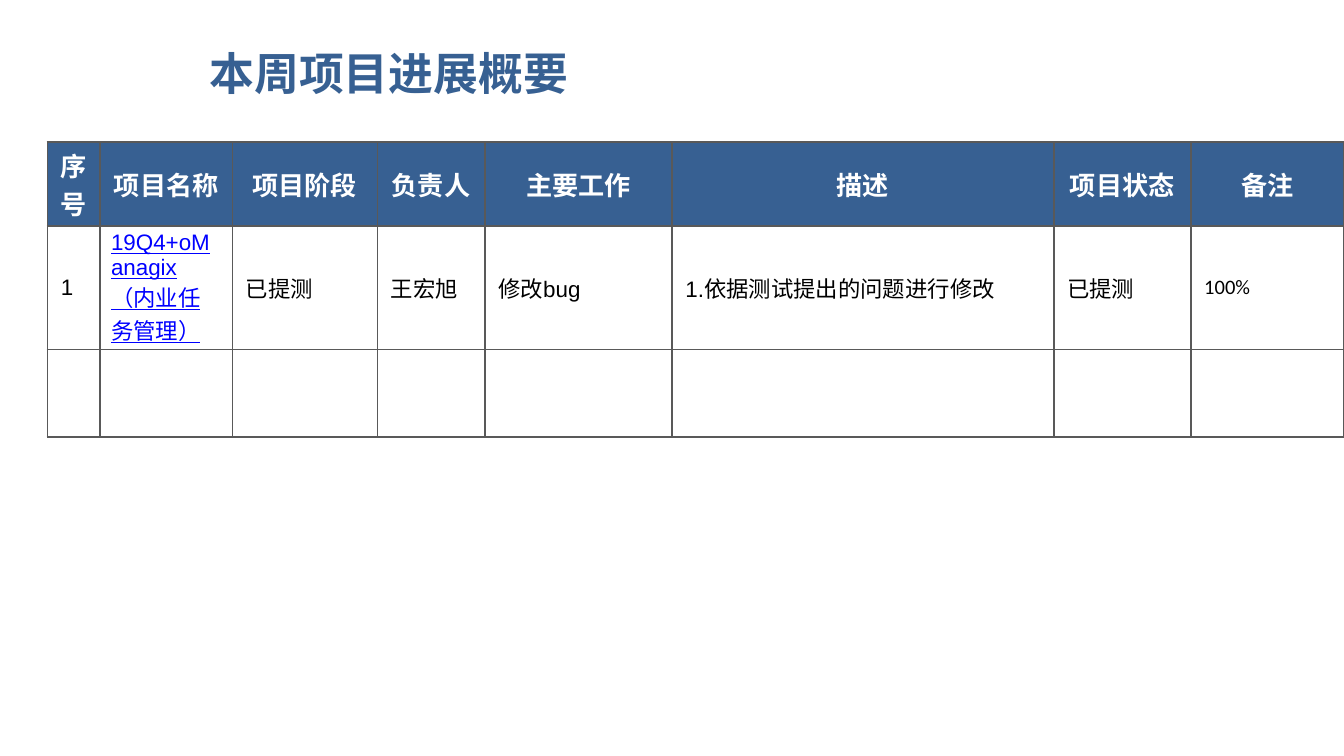
from dataclasses import dataclass

import pptx
from lxml import etree
from pptx import util as u
from pptx.dml.color import RGBColor
from pptx.enum import text as t
from pptx.oxml import ns

BLUE, GREY, WHITE, BLACK, LINK = "376092", "595959", "FFFFFF", "000000", "0000FF"
EAST_ASIAN = "Noto Sans CJK SC"
HEADER_INSETS, BODY_INSETS, LINK_INSETS = (5, 2.2), (7.2, 3.6), (5.8, 2.2)
ROW_HEIGHTS = (39, 46.8, 46.8)


@dataclass
class Column:
    heading: str
    width: float
    value: str
    size: float = 12
    font: str = "Arial"
    color: str = BLACK
    underline: bool = False
    insets: tuple[float, float] = BODY_INSETS


COLUMNS = [
    Column("序号", 28.3, "1"),
    Column("项目名称", 70.8, "19Q4+oManagix（内业任务管理）",
           color=LINK, underline=True, insets=LINK_INSETS),
    Column("项目阶段", 77.7, "已提测"),
    Column("负责人", 57.6, "王宏旭"),
    Column("主要工作", 100.2, "修改bug"),
    Column("描述", 204.6, "1.依据测试提出的问题进行修改"),
    Column("项目状态", 73.4, "已提测"),
    Column("备注", 82, "100%", size=11, font="Calibri"),
]


def rgb(value: str) -> RGBColor:
    return RGBColor.from_string(value)


def write(frame, content: str, *, size: float, font: str = "Arial",
          color: str = BLACK, bold: bool = False, underline: bool = False,
          align=t.PP_ALIGN.LEFT) -> None:
    para = frame.paragraphs[0]
    para.alignment = align
    span = para.add_run()
    span.text = content
    span.font.size = u.Pt(size)
    span.font.name = font
    span.font.bold = bold
    span.font.underline = underline
    span.font.color.rgb = rgb(color)
    etree.SubElement(span.font._element, ns.qn("a:ea"), typeface=EAST_ASIAN)


def set_borders(cell, color: str, width: float) -> None:
    properties = cell._tc.get_or_add_tcPr()
    # Border lines come before the fill in the cell properties
    for index, side in enumerate(("lnL", "lnR", "lnT", "lnB")):
        line = etree.Element(ns.qn(f"a:{side}"), w=str(u.Pt(width)))
        fill = etree.SubElement(line, ns.qn("a:solidFill"))
        etree.SubElement(fill, ns.qn("a:srgbClr"), val=color)
        properties.insert(index, line)


def format_cell(cell, insets: tuple[float, float], fill: str | None = None) -> None:
    cell.vertical_anchor = t.MSO_ANCHOR.MIDDLE
    cell.margin_left = cell.margin_right = u.Pt(insets[0])
    cell.margin_top = cell.margin_bottom = u.Pt(insets[1])
    if fill:
        cell.fill.solid()
        cell.fill.fore_color.rgb = rgb(fill)
    else:
        cell.fill.background()
    set_borders(cell, GREY, 1)


def add_title(page, content: str) -> None:
    title = page.shapes.title
    title.left, title.top = u.Pt(105), u.Pt(16.6)
    title.width, title.height = u.Pt(578), u.Pt(44.6)
    frame = title.text_frame
    frame.auto_size = t.MSO_AUTO_SIZE.NONE
    frame.vertical_anchor = t.MSO_ANCHOR.MIDDLE
    write(frame, content, size=24, font=EAST_ASIAN, color=BLUE, bold=True)


def add_progress_table(page, columns: list[Column]) -> None:
    table = page.shapes.add_table(
        len(ROW_HEIGHTS), len(columns), u.Pt(25.4), u.Pt(76),
        u.Pt(sum(column.width for column in columns)), u.Pt(sum(ROW_HEIGHTS))).table
    table.first_row = table.horz_banding = False
    for row, height in zip(table.rows, ROW_HEIGHTS):
        row.height = u.Pt(height)
    for index, column in enumerate(columns):
        table.columns[index].width = u.Pt(column.width)
        header, body, spare = (table.cell(row, index) for row in range(3))
        format_cell(header, HEADER_INSETS, BLUE)
        format_cell(body, column.insets)
        format_cell(spare, BODY_INSETS)
        write(header.text_frame, column.heading, size=14, color=WHITE,
              bold=True, align=t.PP_ALIGN.CENTER)
        write(body.text_frame, column.value, size=column.size, font=column.font,
              color=column.color, underline=column.underline)


def main() -> None:
    deck = pptx.Presentation()
    deck.slide_width, deck.slide_height = u.Pt(720), u.Pt(405)
    page = deck.slides.add_slide(deck.slide_layouts[5])  # title only
    add_title(page, "本周项目进展概要")
    add_progress_table(page, COLUMNS)
    deck.save("out.pptx")


if __name__ == "__main__":
    main()
